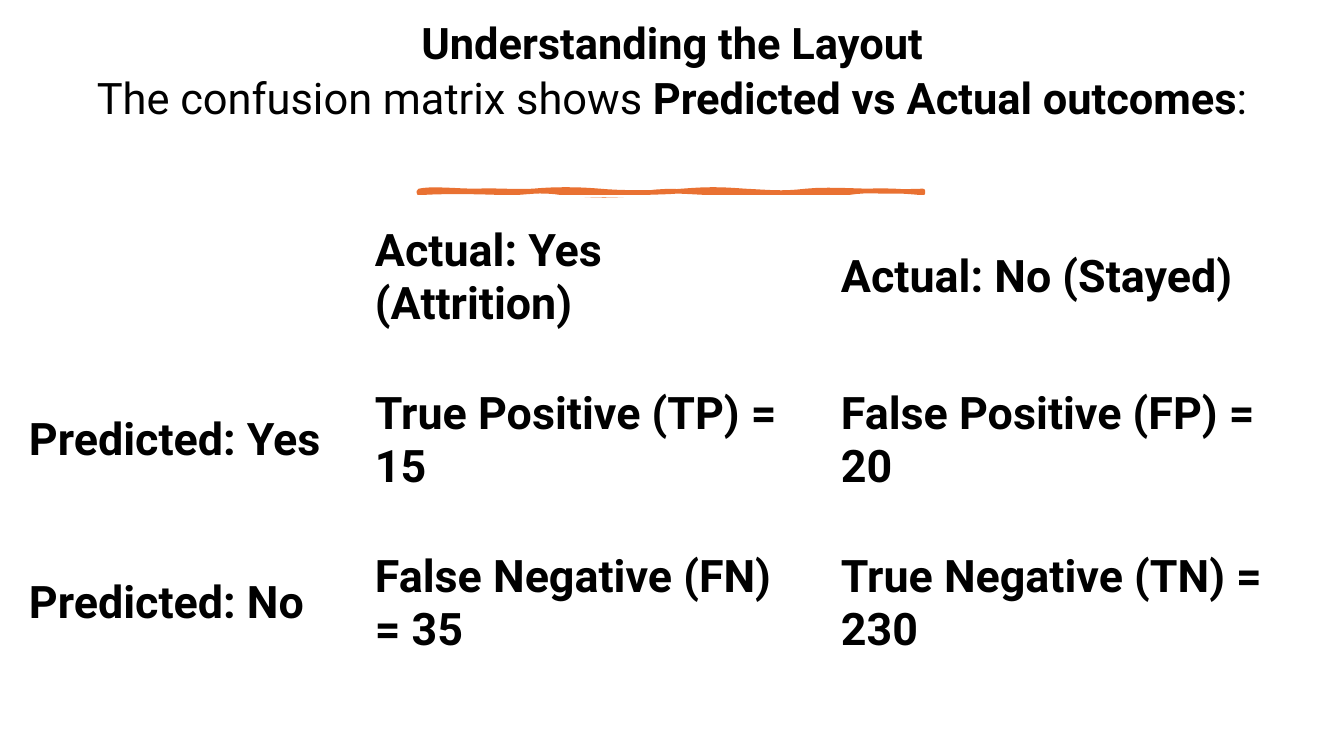
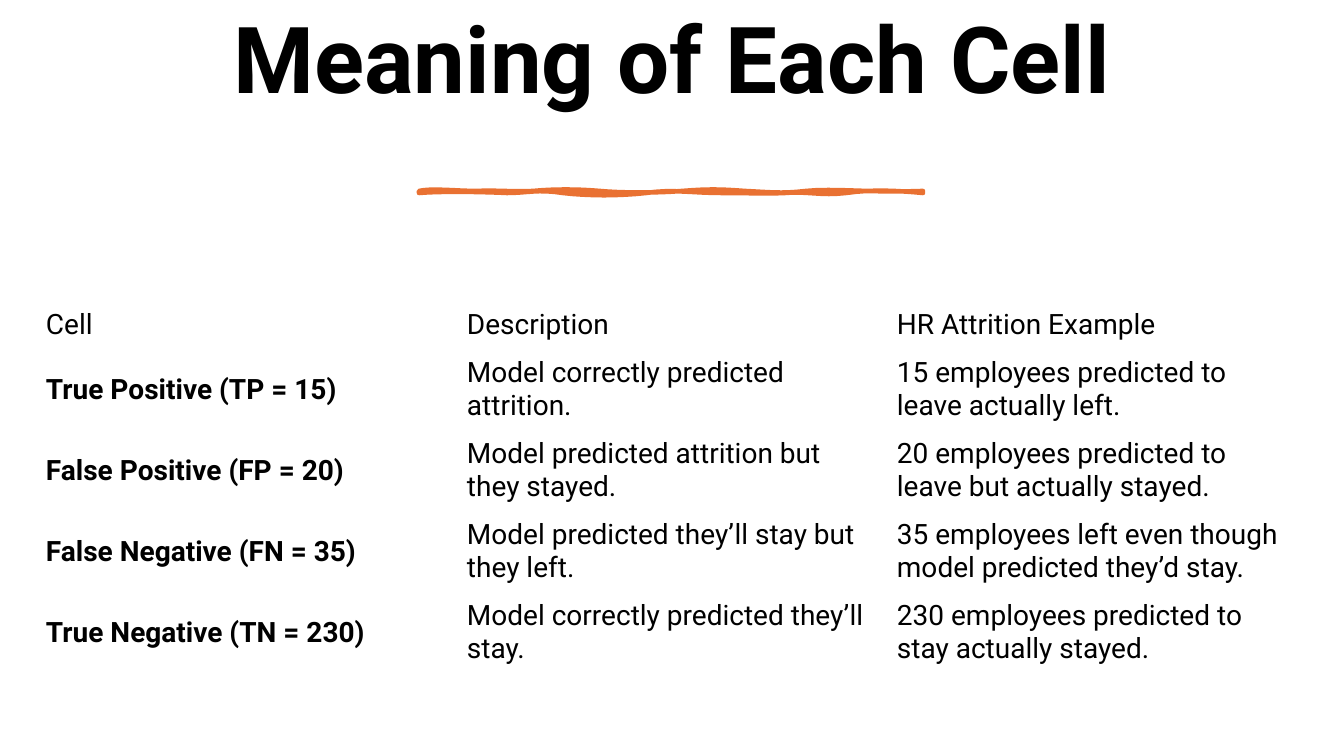
from pptx import Presentation
from pptx import util as u
from pptx.dml.color import RGBColor
from pptx.enum import text

# Shared look
PX = 914400 / 100.8
FONT, BLACK, ORANGE = "Roboto", "000000", "E97132"
TITLE_LEFT, TITLE_WIDTH = 71, 1202

# Wavy rule under the title: an upper and a lower edge, each a start point
# followed by Bezier triples (control, control, end)
RULE_ORIGIN = (419, 191)
RULE_EDGES = [
    [(0, 0),
     (12, -3), (38, 0), (57, 0), (77, -1), (94, 1), (114, 0),
     (134, -2), (159, -2), (181, 0), (203, 2), (239, 2), (263, 0),
     (288, -2), (300, -2), (326, 0), (350, 1), (361, 3), (387, 0),
     (413, -3), (455, 2), (504, 0)],
    [(504, 2),
     (483, 0), (453, -2), (427, 2), (402, 5), (388, 0), (366, 2),
     (343, 3), (334, 2), (303, 2), (273, 2), (253, -2), (227, 2),
     (200, 5), (170, 5), (144, 2), (119, -2), (108, 2), (88, 2),
     (68, 1), (22, 0), (0, 2)],
]
CURVE_STEPS = 8

# Title lines are lists of (text, bold); bold cells are given by a column/row test
SLIDES = [
    {
        "title": [
            [("Understanding the Layout", True)],
            [("The confusion matrix shows ", False),
             ("Predicted vs Actual outcomes", True), (":", False)],
        ],
        "title_top": 22, "title_height": 110, "title_size": 31,
        "table_at": (11, 196), "columns": [346, 466, 509], "rows": [163] * 3,
        "insets": (18, 9), "size": 32,
        "is_bold": lambda row, column: True,
        "cells": [
            ("", "Actual: Yes (Attrition)", "Actual: No (Stayed)"),
            ("Predicted: Yes", "True Positive (TP) = 15", "False Positive (FP) = 20"),
            ("Predicted: No", "False Negative (FN) = 35", "True Negative (TN) = 230"),
        ],
    },
    {
        "title": [[("Meaning of Each Cell", True)]],
        "title_top": 14, "title_height": 110, "title_size": 66,
        "table_at": (35, 301), "columns": [421, 430, 421], "rows": [48] + [81] * 4,
        "insets": (11, 5), "size": 20,
        "is_bold": lambda row, column: row > 0 and column == 0,
        "cells": [
            ("Cell", "Description", "HR Attrition Example"),
            ("True Positive (TP = 15)", "Model correctly predicted attrition.",
             "15 employees predicted to leave actually left."),
            ("False Positive (FP = 20)", "Model predicted attrition but they stayed.",
             "20 employees predicted to leave but actually stayed."),
            ("False Negative (FN = 35)", "Model predicted they’ll stay but they left.",
             "35 employees left even though model predicted they’d stay."),
            ("True Negative (TN = 230)", "Model correctly predicted they’ll stay.",
             "230 employees predicted to stay actually stayed."),
        ],
    },
]


def px(length):
    return u.Emu(round(length * PX))


def color(hex_value):
    return RGBColor.from_string(hex_value)


def style_font(font, size):
    font.name, font.size = FONT, u.Pt(size)
    font.color.rgb = color(BLACK)


def set_insets(part, across, down):
    part.margin_left = part.margin_right = px(across)
    part.margin_top = part.margin_bottom = px(down)


def add_title(slide, content):
    box = slide.shapes.title
    box.left, box.top = px(TITLE_LEFT), px(content["title_top"])
    box.width, box.height = px(TITLE_WIDTH), px(content["title_height"])
    frame = box.text_frame
    frame.word_wrap = True
    frame.auto_size = text.MSO_AUTO_SIZE.NONE
    frame.vertical_anchor = text.MSO_ANCHOR.TOP
    set_insets(frame, 10, 0)
    for index, spans in enumerate(content["title"]):
        para = frame.add_paragraph() if index else frame.paragraphs[0]
        para.alignment = text.PP_ALIGN.CENTER
        para.line_spacing = 0.9
        para.space_before, para.space_after = u.Pt(0), u.Pt(6)
        style_font(para.font, content["title_size"])
        for words, bold in spans:
            span = para.add_run()
            span.text, span.font.bold = words, bold


def trace_edge(points):
    """Turn a chain of Bezier triples into short straight steps."""
    traced = [points[0]]
    for i in range(0, len(points) - 1, 3):
        curve = points[i:i + 4]
        for step in range(1, CURVE_STEPS + 1):
            t = step / CURVE_STEPS
            weights = ((1 - t) ** 3, 3 * t * (1 - t) ** 2, 3 * t * t * (1 - t), t ** 3)
            traced.append(tuple(sum(w * p[axis] for w, p in zip(weights, curve))
                                for axis in (0, 1)))
    return traced


def add_rule(slide):
    left, top = RULE_ORIGIN
    outline = [(px(left + x), px(top + y))
               for edge in RULE_EDGES for x, y in trace_edge(edge)]
    builder = slide.shapes.build_freeform(*outline[0])
    builder.add_line_segments(outline[1:], close=True)
    rule = builder.convert_to_shape()
    rule.shadow.inherit = False
    rule.fill.solid()
    rule.fill.fore_color.rgb = color(ORANGE)
    rule.line.color.rgb = color(ORANGE)
    rule.line.width = u.Pt(3.25)


def add_matrix(slide, content):
    columns, rows, cells = content["columns"], content["rows"], content["cells"]
    left, top = content["table_at"]
    table = slide.shapes.add_table(len(rows), len(columns), px(left), px(top),
                                   px(sum(columns)), px(sum(rows))).table
    table.first_row = table.horz_banding = False
    for column, width in zip(table.columns, columns):
        column.width = px(width)
    for r, height in enumerate(rows):
        table.rows[r].height = px(height)
        for c, words in enumerate(cells[r]):
            cell = table.cell(r, c)
            cell.fill.background()
            cell.vertical_anchor = text.MSO_ANCHOR.MIDDLE
            set_insets(cell, *content["insets"])
            cell.text = words
            para = cell.text_frame.paragraphs[0]
            style_font(para.font, content["size"])
            para.font.bold = content["is_bold"](r, c)


def main():
    deck = Presentation()
    deck.slide_width, deck.slide_height = px(1344), px(756)
    for content in SLIDES:
        slide = deck.slides.add_slide(deck.slide_layouts[5])
        add_title(slide, content)
        add_rule(slide)
        add_matrix(slide, content)
    deck.save("out.pptx")


if __name__ == "__main__":
    main()
